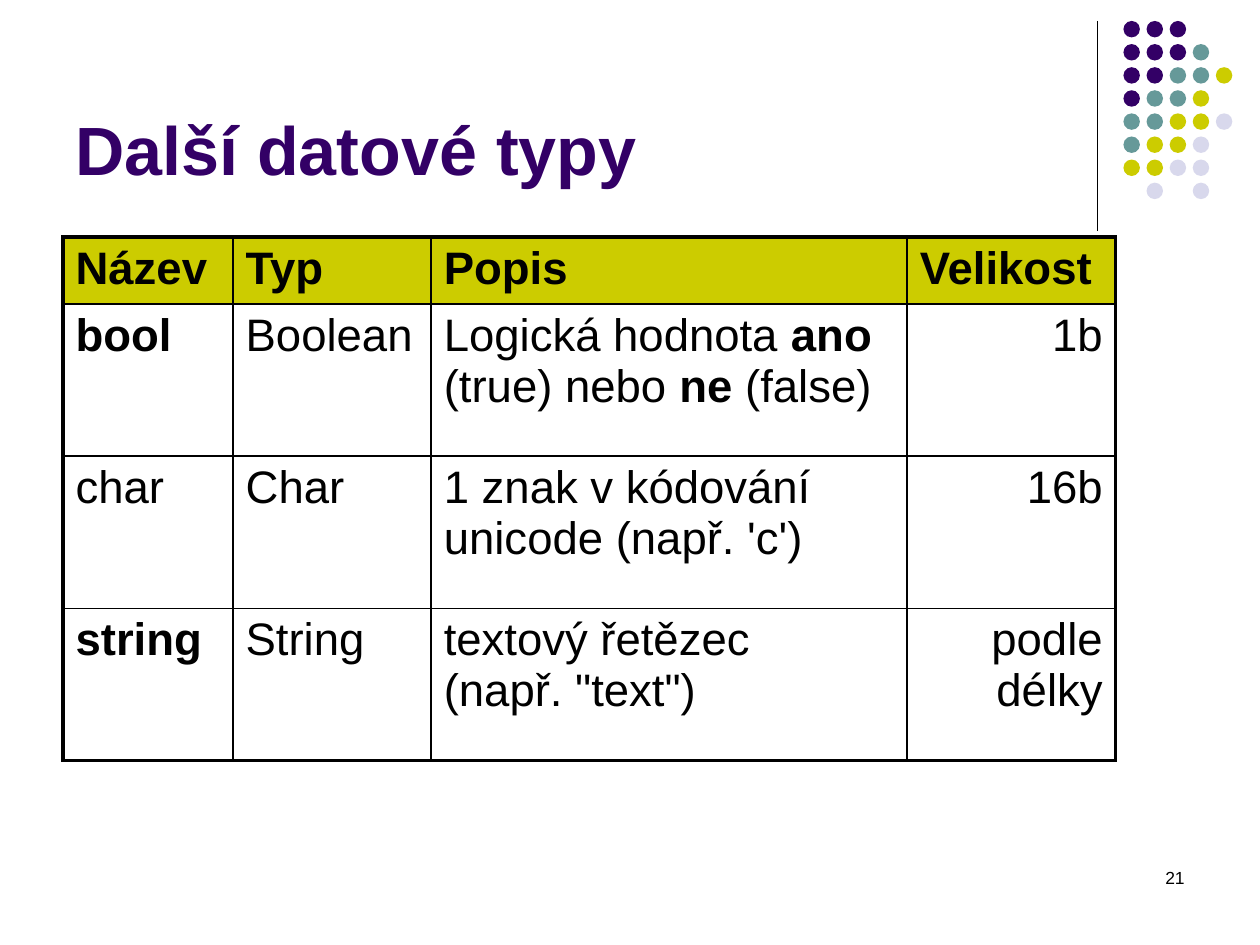
from lxml import etree
from pptx import Presentation
from pptx.dml.color import RGBColor
from pptx.enum.shapes import MSO_CONNECTOR, MSO_SHAPE
from pptx.enum.text import MSO_ANCHOR, PP_ALIGN
from pptx.oxml.ns import qn
from pptx.util import Pt

STRAIGHT = MSO_CONNECTOR.STRAIGHT
OVAL = MSO_SHAPE.OVAL
TOP, BOTTOM = MSO_ANCHOR.TOP, MSO_ANCHOR.BOTTOM
LEFT, RIGHT = PP_ALIGN.LEFT, PP_ALIGN.RIGHT

BLACK = RGBColor(0x00, 0x00, 0x00)
PURPLE = RGBColor(0x33, 0x00, 0x66)
TEAL = RGBColor(0x66, 0x99, 0x99)
OLIVE = RGBColor(0xCC, 0xCC, 0x00)
LAVENDER = RGBColor(0xD8, 0xD8, 0xEC)

FONT = "Arial"
THIN, THICK = 1, 2.25
DOT_COLORS = {"P": PURPLE, "T": TEAL, "O": OLIVE, "L": LAVENDER}
DOT_ROWS = ["PPP", "PPPT", "PPTTO", "PTTO", "TTOOL", "TOOL", "OOLL", " L L"]
DOT_SIZE, DOT_PITCH = 9.4, 13.2

COLUMN_WIDTHS = [97.2, 113.2, 272, 119]
ROW_HEIGHTS = [38.3, 86.9, 86.9, 86.9]
TYPE_ROWS = [
    ["**Název**", "**Typ**", "**Popis**", "**Velikost**"],
    ["**bool**", "Boolean", "Logická hodnota **ano** (true) nebo **ne** (false)", "1b"],
    ["char", "Char", "1 znak v kódování unicode (např. 'c')", "16b"],
    ["**string**", "String", "textový řetězec \n(např. \"text\")", "podle délky"],
]


def write_text(frame, text, size=26, color=BLACK, align=LEFT, anchor=TOP):
    frame.word_wrap = True
    frame.vertical_anchor = anchor
    para = frame.paragraphs[0]
    para.alignment = align
    for line_index, line in enumerate(text.split("\n")):
        if line_index:
            para.add_line_break()
        for part_index, part in enumerate(line.split("**")):
            if part:
                span = para.add_run()
                span.text = part
                span.font.name = FONT
                span.font.size = Pt(size)
                span.font.bold = part_index % 2 == 1
                span.font.color.rgb = color


def add_text_box(page, left, top, width, height, text, **text_format):
    box = page.shapes.add_textbox(Pt(left), Pt(top), Pt(width), Pt(height))
    write_text(box.text_frame, text, **text_format)


def add_divider(page, left, top, height):
    divider = page.shapes.add_connector(
        STRAIGHT, Pt(left), Pt(top), Pt(left), Pt(top + height))
    divider.line.color.rgb = BLACK
    divider.line.width = Pt(0.75)
    properties = divider.element.find(qn("p:spPr"))
    etree.SubElement(properties, qn("a:effectLst"))


def add_dots(page, left, top):
    group = page.shapes.add_group_shape()
    for row, letters in enumerate(DOT_ROWS):
        for column, letter in enumerate(letters):
            if letter in DOT_COLORS:
                dot = group.shapes.add_shape(
                    OVAL, Pt(left + column * DOT_PITCH),
                    Pt(top + row * DOT_PITCH), Pt(DOT_SIZE), Pt(DOT_SIZE))
                dot.shadow.inherit = False
                dot.fill.solid()
                dot.fill.fore_color.rgb = DOT_COLORS[letter]
                dot.line.fill.background()


def set_borders(cell, widths):
    properties = cell._tc.get_or_add_tcPr()
    for index, (side, width) in enumerate(widths.items()):
        border = etree.Element(qn("a:" + side), w=str(Pt(width)))
        fill = etree.SubElement(border, qn("a:solidFill"))
        etree.SubElement(fill, qn("a:srgbClr"), val=str(BLACK))
        properties.insert(index, border)


def add_type_table(page, left, top):
    last_row, last_column = len(ROW_HEIGHTS) - 1, len(COLUMN_WIDTHS) - 1
    table = page.shapes.add_table(
        len(ROW_HEIGHTS), len(COLUMN_WIDTHS), Pt(left), Pt(top),
        Pt(sum(COLUMN_WIDTHS)), Pt(sum(ROW_HEIGHTS))).table
    table.first_row = False
    table.horz_banding = False
    for column, width in zip(table.columns, COLUMN_WIDTHS):
        column.width = Pt(width)
    for row, height in zip(table.rows, ROW_HEIGHTS):
        row.height = Pt(height)
    for row, texts in enumerate(TYPE_ROWS):
        for column, text in enumerate(texts):
            cell = table.cell(row, column)
            is_size = row > 0 and column == last_column
            write_text(cell.text_frame, text, align=RIGHT if is_size else LEFT)
            if row == 0:
                cell.fill.solid()
                cell.fill.fore_color.rgb = OLIVE
            else:
                cell.fill.background()
            set_borders(cell, {
                "lnL": THICK if column == 0 else THIN,
                "lnR": THICK if column == last_column else THIN,
                "lnT": THICK if row == 0 else THIN,
                "lnB": THICK if row == last_row else THIN,
            })


def build_slide(deck):
    page = deck.slides.add_slide(deck.slide_layouts[6])
    add_divider(page, 627, 12, 120)
    add_dots(page, 642, 12)
    add_text_box(page, 516, 492, 168, 36, "21", size=10, align=RIGHT)
    add_text_box(page, 36, 9.4, 594, 102, "**Další datové typy**",
                 size=39, color=PURPLE, anchor=BOTTOM)
    add_type_table(page, 36, 135.4)


deck = Presentation()
deck.slide_width = Pt(720)
deck.slide_height = Pt(540)
build_slide(deck)
deck.save("out.pptx")
